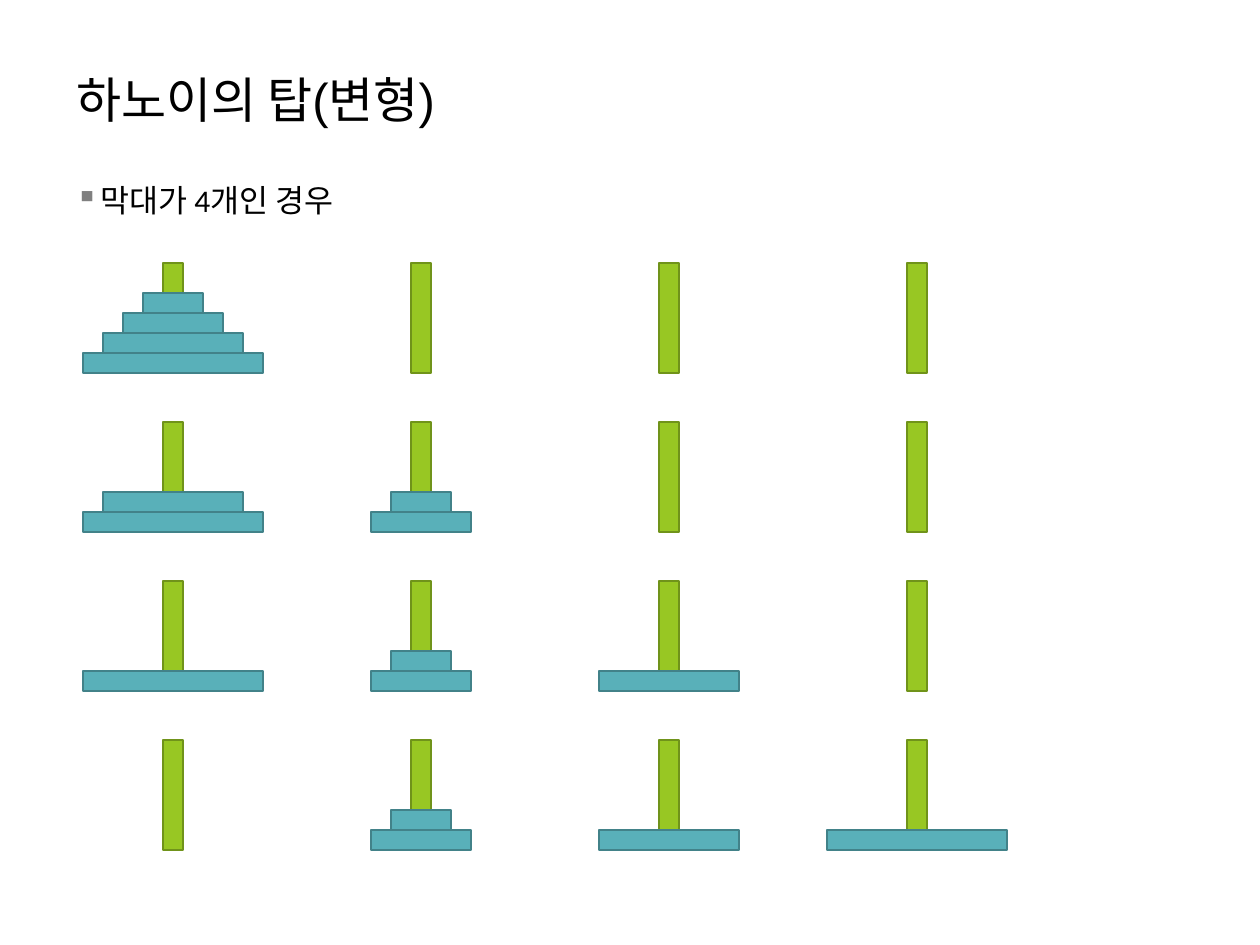
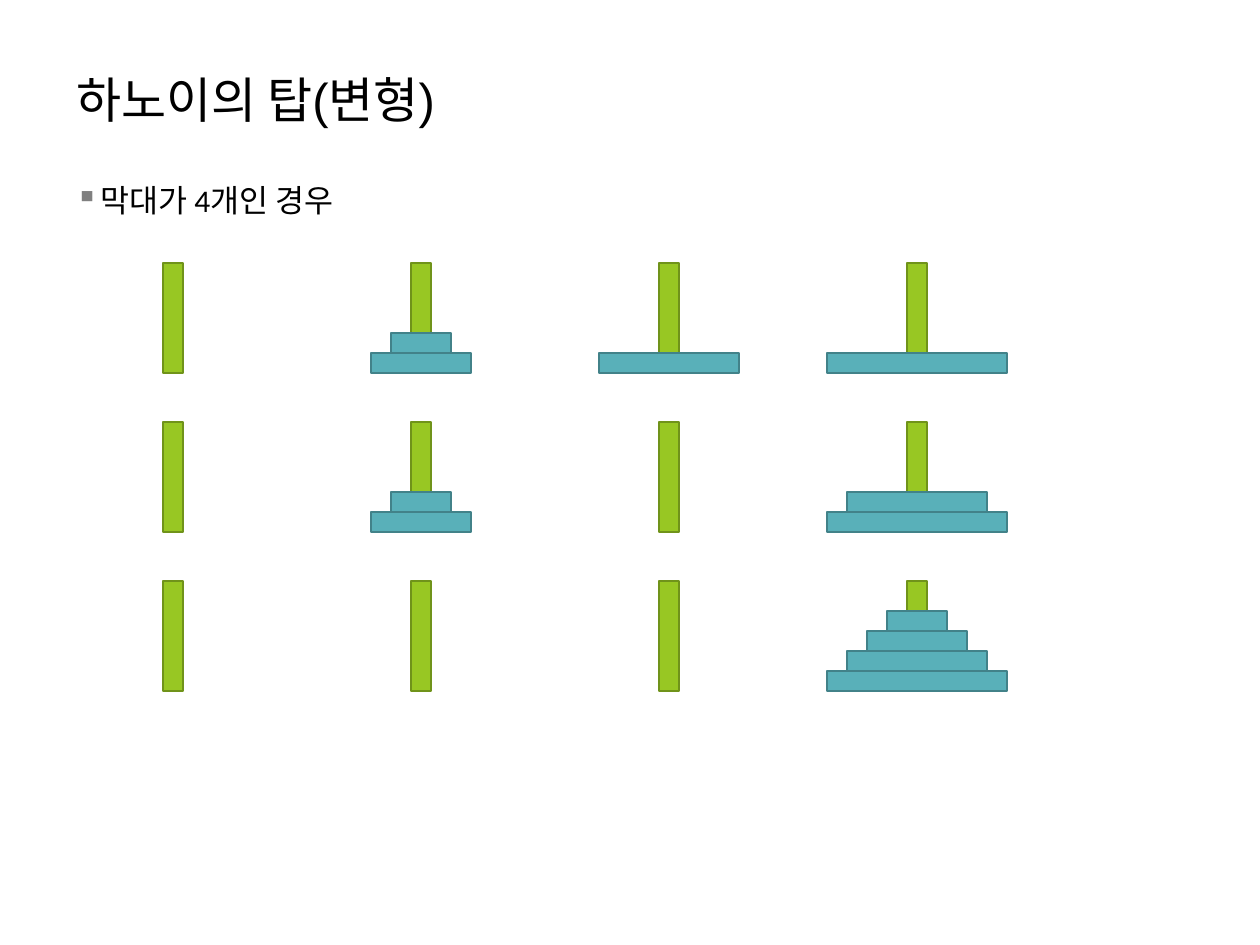
"""Two slides on the four-peg Tower of Hanoi: each row of pegs is one state."""
from lxml import etree
from pptx import Presentation
from pptx import util as u
from pptx.dml.color import RGBColor
from pptx.enum import shapes, text
from pptx.oxml.ns import qn

TITLE = "하노이의 탑(변형)"
BULLET = "막대가 4개인 경우"

# One list per slide, one row per state, one tuple per peg.
# Disks are numbered 1 (smallest) to 4 and listed from the bottom up.
SLIDES = [
    [
        [(4, 3, 2, 1), (), (), ()],
        [(4, 3), (2, 1), (), ()],
        [(4,), (2, 1), (3,), ()],
        [(), (2, 1), (3,), (4,)],
    ],
    [
        [(), (2, 1), (3,), (4,)],
        [(), (2, 1), (), (4, 3)],
        [(), (), (), (4, 3, 2, 1)],
    ],
]

COLORS = {
    "background": "FFFFFF",
    "text": "000000",
    "bullet": "808080",
    "peg": "98C723",
    "peg_line": "70931A",
    "disk": "59B0B9",
    "disk_line": "428289",
}

SCALE = u.Inches(1) // 126          # EMU per pixel
PAGE_SIZE = (1260, 945)
TITLE_BOX = (64, 63, 1081, 72)
BODY_BOX = (63, 175, 1082, 675)
BULLET_INDENT = 25
FIRST_CENTER, PEG_PITCH = 173, 248
FIRST_TOP, ROW_PITCH = 263, 159
PEG_WIDTH, PEG_HEIGHT = 20, 110
DISK_HEIGHT, DISK_STEP = 20, 40


def px(*lengths):
    """Turn pixels into a list of EMU lengths."""
    return [u.Emu(length * SCALE) for length in lengths]


def color(name):
    """Look up a named colour."""
    return RGBColor.from_string(COLORS[name])


def add_bar(page, center, top, width, height, kind):
    """Draw a horizontally centred rectangle in the style of a peg or disk."""
    bar = page.shapes.add_shape(
        shapes.MSO_SHAPE.RECTANGLE, *px(center - width // 2, top, width, height))
    bar.shadow.inherit = False
    bar.fill.solid()
    bar.fill.fore_color.rgb = color(kind)
    bar.line.color.rgb = color(kind + "_line")
    bar.line.width = u.Pt(1.25)


def add_text(page, box, words, size, font, anchor):
    """Add a one-paragraph text box and return its paragraph."""
    frame = page.shapes.add_textbox(*px(*box)).text_frame
    frame.word_wrap = True
    frame.vertical_anchor = anchor
    para = frame.paragraphs[0]
    span = para.add_run()
    span.text = words
    span.font.size = u.Pt(size)
    span.font.name = font
    span.font.color.rgb = color("text")
    return para


def add_bullet(para):
    """Give a paragraph a grey square bullet with a hanging indent."""
    para.space_before = u.Pt(3.6)
    props = para._p.get_or_add_pPr()
    indent = px(BULLET_INDENT)[0]
    props.set("marL", str(indent))
    props.set("indent", str(-indent))
    bullet_color = etree.SubElement(props, qn("a:buClr"))
    etree.SubElement(bullet_color, qn("a:srgbClr"), val=COLORS["bullet"])
    etree.SubElement(props, qn("a:buChar"), char="▪")


def add_tower(page, center, top, disks):
    """Draw one peg and the disks stacked on it."""
    add_bar(page, center, top, PEG_WIDTH, PEG_HEIGHT, "peg")
    for level, disk in enumerate(disks, start=1):
        disk_top = top + PEG_HEIGHT - level * DISK_HEIGHT
        width = PEG_WIDTH + disk * DISK_STEP
        add_bar(page, center, disk_top, width, DISK_HEIGHT, "disk")


def add_page(deck, states):
    """Add a slide with its title, bullet and rows of towers."""
    page = deck.slides.add_slide(deck.slide_layouts[6])
    page.background.fill.solid()
    page.background.fill.fore_color.rgb = color("background")
    add_text(page, TITLE_BOX, TITLE, 28, "Arial", text.MSO_ANCHOR.MIDDLE)
    add_bullet(add_text(page, BODY_BOX, BULLET, 18, "Calibri", text.MSO_ANCHOR.TOP))
    for row, pegs in enumerate(states):
        for column, disks in enumerate(pegs):
            add_tower(page, FIRST_CENTER + column * PEG_PITCH,
                      FIRST_TOP + row * ROW_PITCH, disks)


deck = Presentation()
deck.slide_width, deck.slide_height = px(*PAGE_SIZE)
for states in SLIDES:
    add_page(deck, states)
deck.save("out.pptx")
